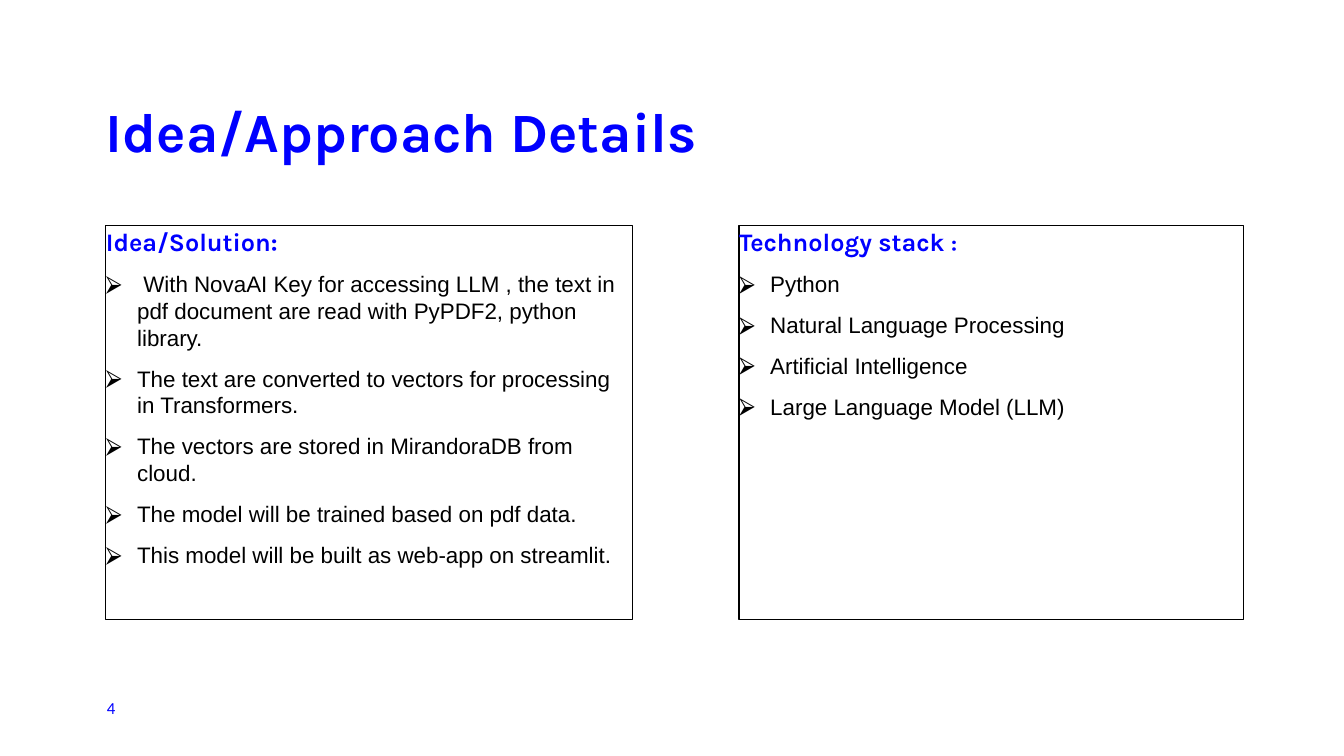
from lxml import etree
from pptx import Presentation
from pptx.dml.color import RGBColor
from pptx.enum.shapes import MSO_SHAPE
from pptx.enum.text import MSO_ANCHOR, PP_ALIGN
from pptx.oxml.ns import qn
from pptx.util import Inches, Pt

RECT = MSO_SHAPE.RECTANGLE
TOP, BOTTOM = MSO_ANCHOR.TOP, MSO_ANCHOR.BOTTOM
LEFT = PP_ALIGN.LEFT
BLUE = RGBColor(0, 0, 255)
BLACK = RGBColor(0, 0, 0)
INDENT = Inches(0.31)

IDEAS = [
    " With NovaAI Key for accessing LLM , the text in pdf document are read with PyPDF2, python library.",
    "The text are converted to vectors for processing in Transformers.",
    "The vectors are stored in MirandoraDB from cloud.",
    "The model will be trained based on pdf data.",
    "This model will be built as web-app on streamlit.",
]
STACK = [
    "Python",
    "Natural Language Processing",
    "Artificial Intelligence",
    "Large Language Model (LLM)",
]


def set_font(font, name, size, color, bold=False):
    font.name = name
    font.size = Pt(size)
    font.color.rgb = color
    font.bold = bold


def set_frame(frame, anchor=TOP):
    frame.word_wrap = True
    frame.vertical_anchor = anchor
    frame.margin_left = frame.margin_right = 0
    frame.margin_top = frame.margin_bottom = 0


def add_label(slide, box, text, name, size, bold=False, anchor=TOP):
    frame = slide.shapes.add_textbox(*map(Inches, box)).text_frame
    set_frame(frame, anchor)
    para = frame.paragraphs[0]
    para.text = text
    set_font(para.font, name, size, BLUE, bold)
    return para


def add_bullet(para):
    props = para._p.get_or_add_pPr()
    props.set("marL", str(INDENT))
    props.set("indent", str(-INDENT))
    color = etree.Element(qn("a:buClr"))
    etree.SubElement(color, qn("a:srgbClr"), val=str(BLACK))
    font = etree.Element(qn("a:buFont"), typeface="Arial")
    mark = etree.Element(qn("a:buChar"), char="⮚")
    spot = props.find(qn("a:defRPr"))
    for item in (color, font, mark):
        spot.addprevious(item)


def add_panel(slide, box, head, items):
    panel = slide.shapes.add_shape(RECT, *map(Inches, box))
    panel.shadow.inherit = False
    panel.fill.background()
    panel.line.color.rgb = BLACK
    panel.line.width = Pt(0.75)
    frame = panel.text_frame
    set_frame(frame)
    title = frame.paragraphs[0]
    title.alignment = LEFT
    for text, size in head:
        run = title.add_run()
        run.text = text
        set_font(run.font, "Karla", size, BLUE, True)
    for item in items:
        para = frame.add_paragraph()
        para.text = item
        para.alignment = LEFT
        para.space_before = Pt(10)
        set_font(para.font, "Arial", 16, BLACK)
        add_bullet(para)


def main():
    deck = Presentation()
    deck.slide_width = Inches(13.33)
    deck.slide_height = Inches(7.5)
    slide = deck.slides.add_slide(deck.slide_layouts[6])
    title = add_label(slide, (1.05, 0.96, 6.05, 0.67),
                      "Idea/Approach Details", "Karla", 39.6, True, BOTTOM)
    title.line_spacing = 0.9
    add_panel(slide, (1.05, 2.24, 5.22, 3.91), [("Idea/Solution:", 18)], IDEAS)
    add_panel(slide, (7.33, 2.24, 5, 3.91),
              [("Technology stack ", 18), (":", 16)], STACK)
    add_label(slide, (1.06, 6.92, 0.57, 0.27), "4", "Calibri", 12)
    deck.save("out.pptx")


if __name__ == "__main__":
    main()
